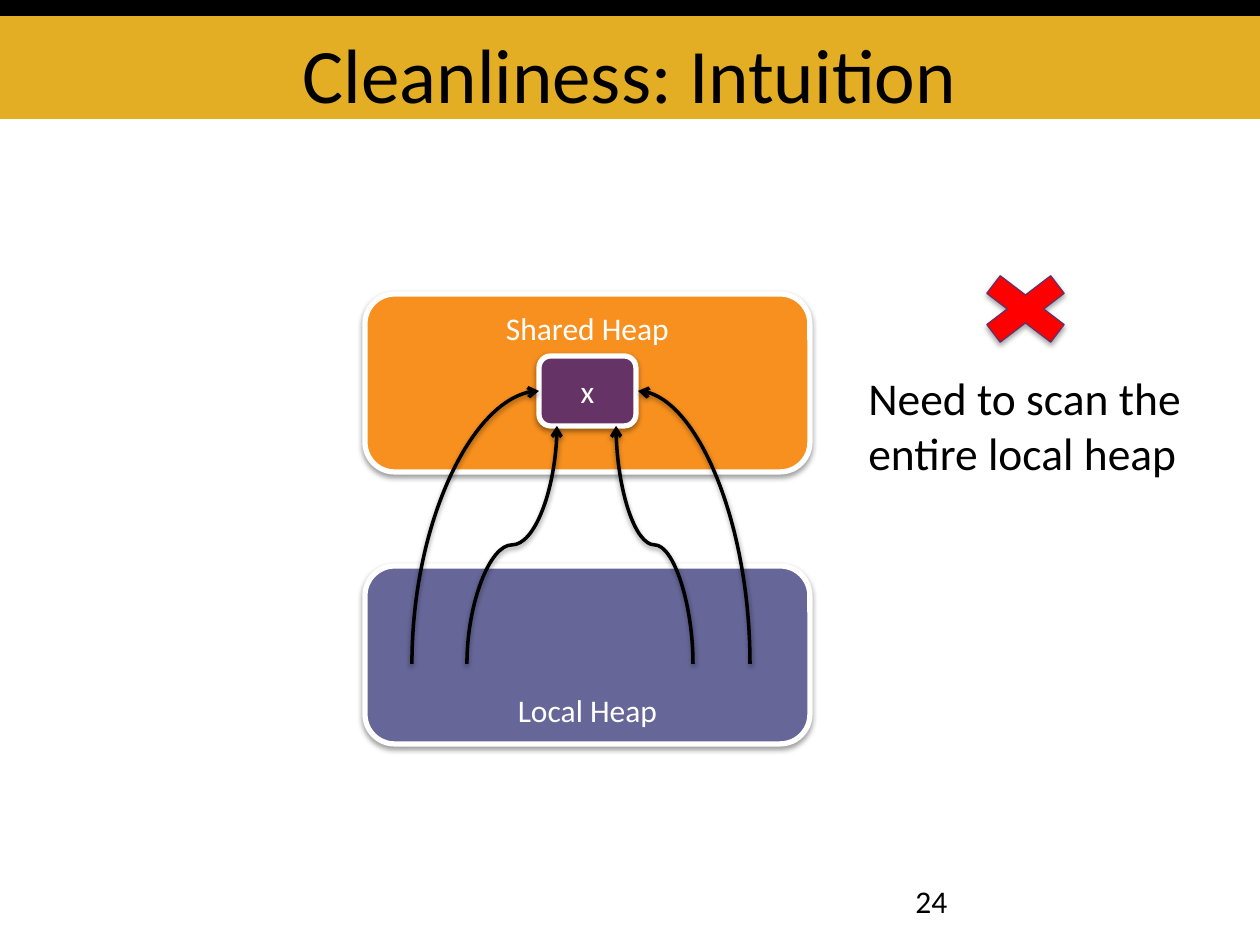
"""Build the slide on cleanliness of heap objects."""
import pptx
import pptx.util
import pptx.dml.color
import pptx.enum.shapes
import pptx.enum.text
import pptx.oxml
import pptx.oxml.ns

SCALE = 914400 // 126
KIND = pptx.enum.shapes.MSO_SHAPE
ANCHOR = pptx.enum.text.MSO_ANCHOR
ALIGN = pptx.enum.text.PP_ALIGN
NS = pptx.oxml.ns.nsdecls("a")


def px(*nums):
    return [int(n * SCALE) for n in nums]


def paint(color, code):
    color.rgb = pptx.dml.color.RGBColor.from_string(code)


def shade(shape, alpha=0, dist=1.6):
    glow = ""
    if alpha:
        blur, gap = pptx.util.Pt(3.1), pptx.util.Pt(dist)
        glow = (f'<a:outerShdw blurRad="{blur}" dist="{gap}" dir="5400000" '
                f'rotWithShape="0"><a:srgbClr val="000000">'
                f'<a:alpha val="{alpha * 1000}"/></a:srgbClr></a:outerShdw>')
    xml = f"<a:effectLst {NS}>{glow}</a:effectLst>"
    shape._element.spPr.append(pptx.oxml.parse_xml(xml))


def write(shape, lines, size, code="000000", align=ALIGN.LEFT,
          anchor=ANCHOR.TOP, wrap=True):
    frame = shape.text_frame
    frame.word_wrap = wrap
    frame.vertical_anchor = anchor
    for i, line in enumerate(lines):
        para = frame.paragraphs[0] if i == 0 else frame.add_paragraph()
        para.alignment = align
        run = para.add_run()
        run.text = line
        run.font.name = "Calibri"
        run.font.size = pptx.util.Pt(size)
        paint(run.font.color, code)


def label(slide, box, lines, size, **style):
    shape = slide.shapes.add_textbox(*px(*box))
    write(shape, lines, size, **style)
    return shape


def block(slide, kind, box, fill, line=None, width=3, **glow):
    shape = slide.shapes.add_shape(kind, *px(*box))
    shape.fill.solid()
    paint(shape.fill.fore_color, fill)
    if line:
        paint(shape.line.color, line)
        shape.line.width = pptx.util.Pt(width)
    else:
        shape.line.fill.background()
    shade(shape, **glow)
    return shape


def node(slide, box, fill, text, anchor):
    shape = block(slide, KIND.ROUNDED_RECTANGLE, box, fill, "FFFFFF", alpha=38)
    write(shape, [text], 18, "FFFFFF", ALIGN.CENTER, anchor)


def curve(slide, start, end, bends):
    """Draw an arrow that leaves start upwards, as a turned connector."""
    (x1, y1), (x2, y2) = start, end
    wide, high = abs(y2 - y1), abs(x2 - x1)
    left, top = (x1 + x2 - wide) / 2, (y1 + y2 - high) / 2
    link = slide.shapes.add_connector(
        pptx.enum.shapes.MSO_CONNECTOR.CURVE,
        *px(left, top, left + wide, top + high))
    prop = link._element.spPr
    turn = 90 if x2 > x1 else 270
    prop.xfrm.set("rot", str(turn * 60000))
    prop.xfrm.set("flipV", "1")
    if turn == 90:
        prop.xfrm.set("flipH", "1")
    prop.prstGeom.set("prst", f"curvedConnector{bends + 1}")
    paint(link.line.color, "000000")
    link.line.width = pptx.util.Pt(2)
    tip = pptx.oxml.parse_xml(f'<a:tailEnd {NS} type="arrow"/>')
    link.line._get_or_add_ln().append(tip)
    shade(link, 38)


def main():
    deck = pptx.Presentation()
    deck.slide_width, deck.slide_height = px(1260, 945)
    slide = deck.slides.add_slide(deck.slide_layouts[6])

    block(slide, KIND.RECTANGLE, (0, 16, 1260, 103), "E3AE24")
    block(slide, KIND.RECTANGLE, (0, 0, 1260, 16), "000000")
    node(slide, (365, 294, 445, 178), "F7901E", "Shared Heap", ANCHOR.TOP)
    node(slide, (365, 566, 445, 178), "666699", "Local Heap", ANCHOR.BOTTOM)
    title = label(slide, (63, 16, 1134, 103), ["Cleanliness: Intuition"], 44,
                  align=ALIGN.CENTER, anchor=ANCHOR.BOTTOM)
    title.text_frame.margin_bottom = 0
    label(slide, (903, 876, 294, 50), ["24"], 18)
    node(slide, (539, 356, 97, 70), "663366", "x", ANCHOR.MIDDLE)

    for start, end, bends in [(750, (638, 391), 1), (693, (616, 426), 2),
                              (412, (539, 391), 1), (467, (557, 426), 2)]:
        curve(slide, (start, 664), end, bends)

    block(slide, KIND.MATH_MULTIPLY, (964, 262, 123, 94), "FF0000", "653165",
          0.75, alpha=35, dist=1.8)
    label(slide, (856, 364, 341, 123),
          ["Need to scan the", "entire local heap"], 26, wrap=False)
    deck.save("out.pptx")


if __name__ == "__main__":
    main()
